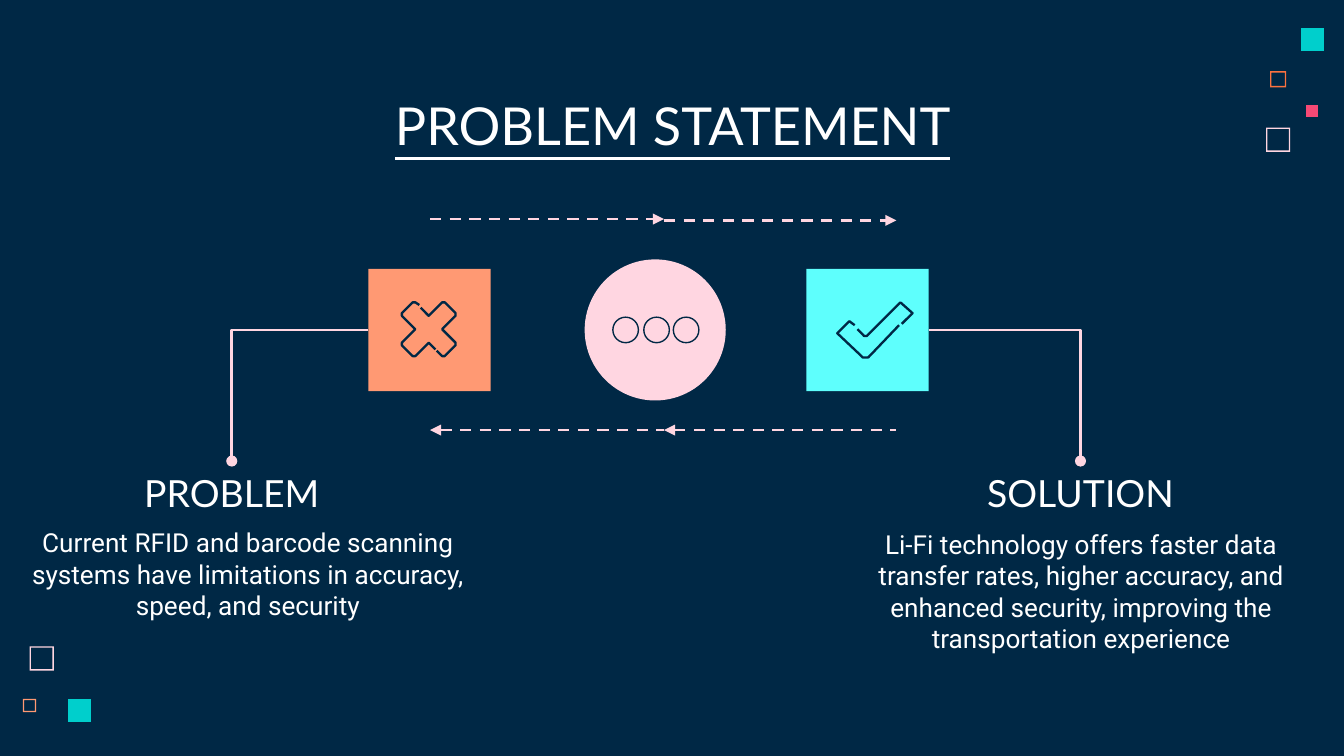
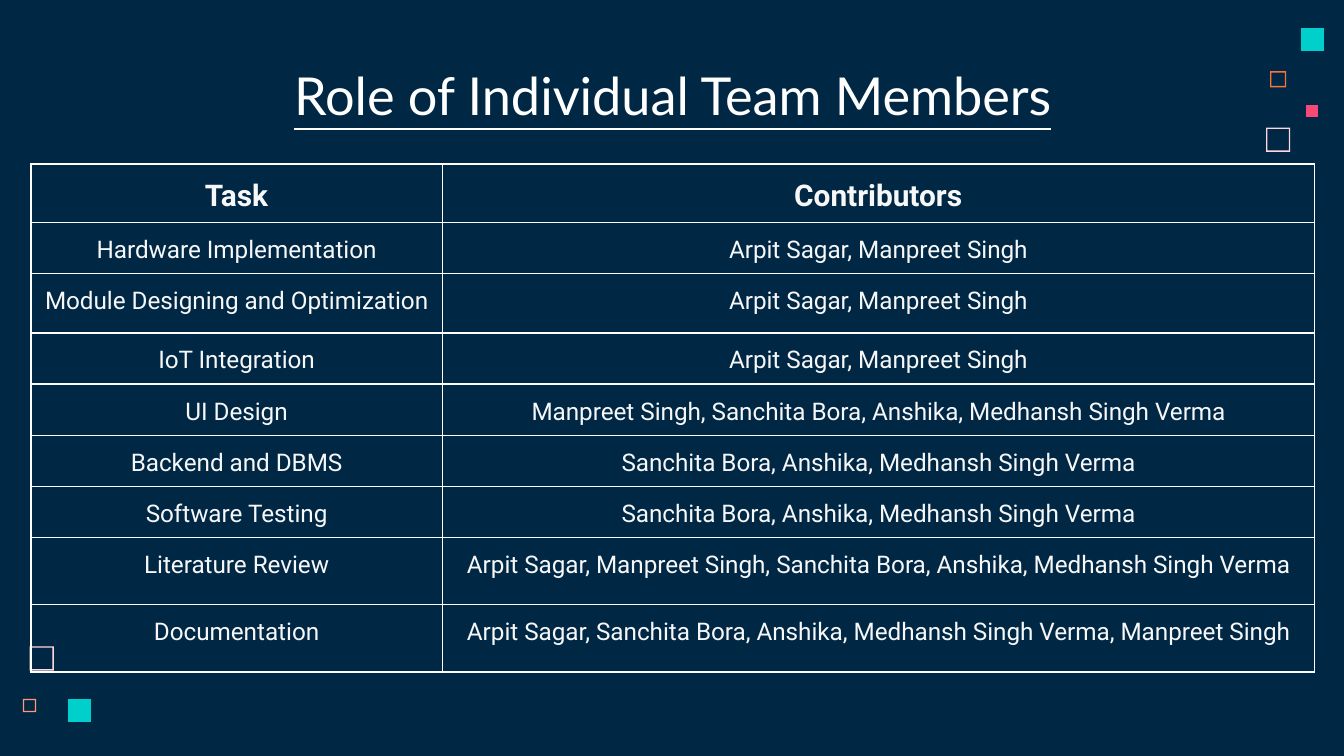
from dataclasses import dataclass

from lxml.etree import SubElement
from pptx import Presentation
from pptx.dml.color import RGBColor
from pptx.enum.dml import MSO_LINE
from pptx.enum.shapes import MSO_CONNECTOR, MSO_SHAPE
from pptx.enum.text import MSO_ANCHOR, MSO_AUTO_SIZE, PP_ALIGN
from pptx.oxml.ns import qn
from pptx.util import Pt

PX = 9144


@dataclass(frozen=True)
class Theme:
    navy: str = "002845"
    white: str = "FFFFFF"
    offwhite: str = "F7F7F8"
    pink: str = "FFD6E1"
    orange: str = "FC723F"
    peach: str = "FF9973"
    teal: str = "00CFCC"
    cyan: str = "5EFFFD"
    rose: str = "F64975"
    head_font: str = "Lato"
    body_font: str = "Roboto"
    title_size: int = 28
    heading_size: int = 20
    body_size: int = 14
    th_size: int = 16
    td_size: int = 13
    arrow_width: float = 1.5
    icon_width: float = 1.25
    thin_width: float = 0.75


T = Theme()


@dataclass(frozen=True)
class Box:
    x: int
    y: int
    w: int
    h: int

    def emu(self) -> tuple:
        return self.x * PX, self.y * PX, self.w * PX, self.h * PX


@dataclass(frozen=True)
class Square:
    x: int
    y: int
    size: int
    color: str
    hollow: bool = False


@dataclass(frozen=True)
class Arrow:
    x1: int
    x2: int
    y: int
    end: str


@dataclass(frozen=True)
class Panel:
    heading: str
    heading_box: Box
    text: str
    text_box: Box
    tile_x: int
    tile_color: str
    tile_side: int
    icon: tuple


SQUARES = (
    Square(942, 95, 18, T.pink, True),
    Square(945, 53, 12, T.orange, True),
    Square(968, 21, 17, T.teal),
    Square(17, 520, 10, T.peach, True),
    Square(972, 78, 9, T.rose),
    Square(22, 481, 18, T.pink, True),
    Square(51, 520, 17, T.teal),
)

ARROWS = (
    Arrow(320, 494, 163, "tailEnd"),
    Arrow(494, 667, 164, "tailEnd"),
    Arrow(320, 494, 320, "headEnd"),
    Arrow(494, 667, 320, "headEnd"),
)

CROSS = (
    ((312, 227), (309, 225), (307, 225), (299, 233), (299, 235), (309, 245),
     (299, 255), (299, 257), (307, 265), (309, 265), (319, 255), (324, 260)),
    ((313, 229), (319, 235), (329, 225), (331, 225), (339, 233), (339, 235),
     (329, 245), (339, 255), (339, 257), (331, 265), (329, 265), (325, 261)),
)

CHECK = (
    ((636, 242), (632, 239), (623, 248), (640, 264), (642, 266), (646, 266),
     (648, 264), (669, 242)),
    ((638, 245), (643, 250), (645, 250), (670, 225), (679, 233), (671, 241)),
)

PANELS = (
    Panel("PROBLEM", Box(37, 343, 271, 50),
          "Current RFID and barcode scanning systems have limitations in "
          "accuracy, speed, and security",
          Box(13, 382, 343, 91), 274, T.peach, 1, CROSS),
    Panel("SOLUTION", Box(687, 343, 234, 50),
          "Li-Fi technology offers faster data transfer rates, higher accuracy, "
          "and enhanced security, improving the transportation experience",
          Box(626, 383, 357, 105), 600, T.cyan, 3, CHECK),
)

ROLES = (
    ("Task", "Contributors", 43),
    ("Hardware Implementation", "Arpit Sagar, Manpreet Singh", 38),
    ("Module Designing and Optimization", "Arpit Sagar, Manpreet Singh", 44),
    ("IoT Integration", "Arpit Sagar, Manpreet Singh", 38),
    ("UI Design", "Manpreet Singh, Sanchita Bora, Anshika, Medhansh Singh Verma", 38),
    ("Backend and DBMS", "Sanchita Bora, Anshika, Medhansh Singh Verma", 38),
    ("Software Testing", "Sanchita Bora, Anshika, Medhansh Singh Verma", 38),
    ("Literature Review",
     "Arpit Sagar, Manpreet Singh, Sanchita Bora, Anshika, Medhansh Singh Verma", 50),
    ("Documentation",
     "Arpit Sagar, Sanchita Bora, Anshika, Medhansh Singh Verma, Manpreet Singh", 50),
)


def rgb(color: str) -> RGBColor:
    return RGBColor.from_string(color)


def write(tf, text: str, *, font: str, size: int, color: str = T.white,
          bold: bool = False, underline: bool = False, spacing: float = 1.0) -> None:
    p = tf.paragraphs[0]
    p.alignment = PP_ALIGN.CENTER
    p.line_spacing = spacing
    r = p.add_run()
    r.text = text
    r.font.name = font
    r.font.size = Pt(size)
    r.font.bold = bold
    r.font.underline = underline
    r.font.color.rgb = rgb(color)


def set_frame(tf, anchor) -> None:
    tf.word_wrap = True
    tf.auto_size = MSO_AUTO_SIZE.NONE
    tf.vertical_anchor = anchor
    tf.margin_left = tf.margin_right = tf.margin_top = tf.margin_bottom = 10 * PX


def add_text(s, box: Box, text: str, anchor=MSO_ANCHOR.TOP, **fmt):
    sp = s.shapes.add_textbox(*box.emu())
    set_frame(sp.text_frame, anchor)
    write(sp.text_frame, text, **fmt)
    return sp


def style(sp, fill: str = "", line: str = "", width: float = 0) -> None:
    sp.shadow.inherit = False
    if fill:
        sp.fill.solid()
        sp.fill.fore_color.rgb = rgb(fill)
    else:
        sp.fill.background()
    if line:
        sp.line.color.rgb = rgb(line)
        sp.line.width = Pt(width)
    else:
        sp.line.fill.background()


def add_shape(s, kind, box: Box, **look):
    sp = s.shapes.add_shape(kind, *box.emu())
    style(sp, **look)
    return sp


def add_square(s, sq: Square):
    x, y, x2, y2 = sq.x, sq.y, sq.x + sq.size, sq.y + sq.size
    fb = s.shapes.build_freeform(x, y, PX)
    fb.add_line_segments(((x, y2), (x2, y2), (x2, y)), close=True)
    if sq.hollow:
        fb.move_to(x2 - 1, y + 1)
        fb.add_line_segments(((x2 - 1, y2 - 1), (x + 1, y2 - 1), (x + 1, y + 1)),
                             close=True)
    sp = fb.convert_to_shape()
    style(sp, fill=sq.color)
    return sp


def add_stroke(s, points: tuple) -> None:
    fb = s.shapes.build_freeform(*points[0], PX)
    fb.add_line_segments(points[1:], close=False)
    style(fb.convert_to_shape(), line=T.navy, width=T.icon_width)


def add_line(s, kind, x1: int, y1: int, x2: int, y2: int, end: str, tip: str):
    cx = s.shapes.add_connector(kind, x1 * PX, y1 * PX, x2 * PX, y2 * PX)
    cx.line.color.rgb = rgb(T.pink)
    cx.line.width = Pt(T.arrow_width)
    if tip == "triangle":
        cx.line.dash_style = MSO_LINE.DASH
    SubElement(cx.get_or_add_ln(), qn(f"a:{end}"), type=tip)
    SubElement(cx.element.spPr, qn("a:effectLst"))
    return cx


def set_borders(cell) -> None:
    tc_pr = cell._tc.get_or_add_tcPr()
    for side in ("lnL", "lnR", "lnT", "lnB"):
        ln = SubElement(tc_pr, qn(f"a:{side}"), w=str(Pt(T.thin_width)))
        SubElement(SubElement(ln, qn("a:solidFill")), qn("a:srgbClr"), val=T.white)


def add_slide(prs, title: str, y: int):
    s = prs.slides.add_slide(prs.slide_layouts[5])
    sp = s.shapes.title
    sp.left, sp.top, sp.width, sp.height = Box(79, y, 843, 63).emu()
    set_frame(sp.text_frame, MSO_ANCHOR.TOP)
    write(sp.text_frame, title, font=T.head_font, size=T.title_size, underline=True)
    return s


def decorate_master(prs, s) -> None:
    master = prs.slide_master
    master.background.fill.solid()
    master.background.fill.fore_color.rgb = rgb(T.navy)
    for number, sq in enumerate(SQUARES, 20):
        sp = add_square(s, sq)
        sp.element.xpath("./p:nvSpPr/p:cNvPr")[0].set("id", str(number))
        master.shapes.element.append(sp.element)


def add_panel(s, panel: Panel) -> None:
    tile = add_shape(s, MSO_SHAPE.RECTANGLE, Box(panel.tile_x, 200, 91, 91),
                     fill=panel.tile_color)
    for points in panel.icon:
        add_stroke(s, points)
    heading = add_text(s, panel.heading_box, panel.heading, MSO_ANCHOR.BOTTOM,
                       font=T.head_font, size=T.heading_size)
    add_text(s, panel.text_box, panel.text, font=T.body_font, size=T.body_size)
    x = panel.tile_x + (91 if panel.tile_side == 3 else 0)
    hb = panel.heading_box
    cx = add_line(s, MSO_CONNECTOR.ELBOW, x, 245, hb.x + hb.w // 2, hb.y,
                  "tailEnd", "oval")
    cx.element.spPr.find(qn("a:prstGeom")).set("prst", "bentConnector2")
    cx.begin_connect(tile, panel.tile_side)
    cx.end_connect(heading, 0)


def build_problem(s) -> None:
    for a in ARROWS:
        add_line(s, MSO_CONNECTOR.STRAIGHT, a.x1, a.y, a.x2, a.y, a.end, "triangle")
    add_shape(s, MSO_SHAPE.OVAL, Box(435, 193, 105, 105), fill=T.pink)
    for x in (456, 479, 501):
        add_shape(s, MSO_SHAPE.OVAL, Box(x, 236, 19, 19),
                  line=T.navy, width=T.thin_width)
    for panel in PANELS:
        add_panel(s, panel)


def build_roles(s) -> None:
    height = sum(row[2] for row in ROLES)
    table = s.shapes.add_table(len(ROLES), 2, *Box(23, 122, 955, height).emu()).table
    table.first_row = table.horz_banding = False
    for col, width in zip(table.columns, (306, 649)):
        col.width = width * PX
    for i, (task, people, row_height) in enumerate(ROLES):
        table.rows[i].height = row_height * PX
        for j, text in enumerate((task, people)):
            cell = table.cell(i, j)
            cell.margin_left = cell.margin_right = 7 * PX
            cell.margin_top = cell.margin_bottom = 7 * PX
            set_borders(cell)
            cell.fill.background()
            write(cell.text_frame, text, font=T.body_font, color=T.offwhite,
                  size=T.td_size if i else T.th_size, bold=i == 0, spacing=1.15)


def main() -> None:
    prs = Presentation()
    prs.slide_width = 1000 * PX
    prs.slide_height = prs.slide_width * 9 // 16
    s = add_slide(prs, "PROBLEM STATEMENT", 59)
    decorate_master(prs, s)
    build_problem(s)
    build_roles(add_slide(prs, "Role of Individual Team Members", 37))
    prs.save("out.pptx")


if __name__ == "__main__":
    main()
